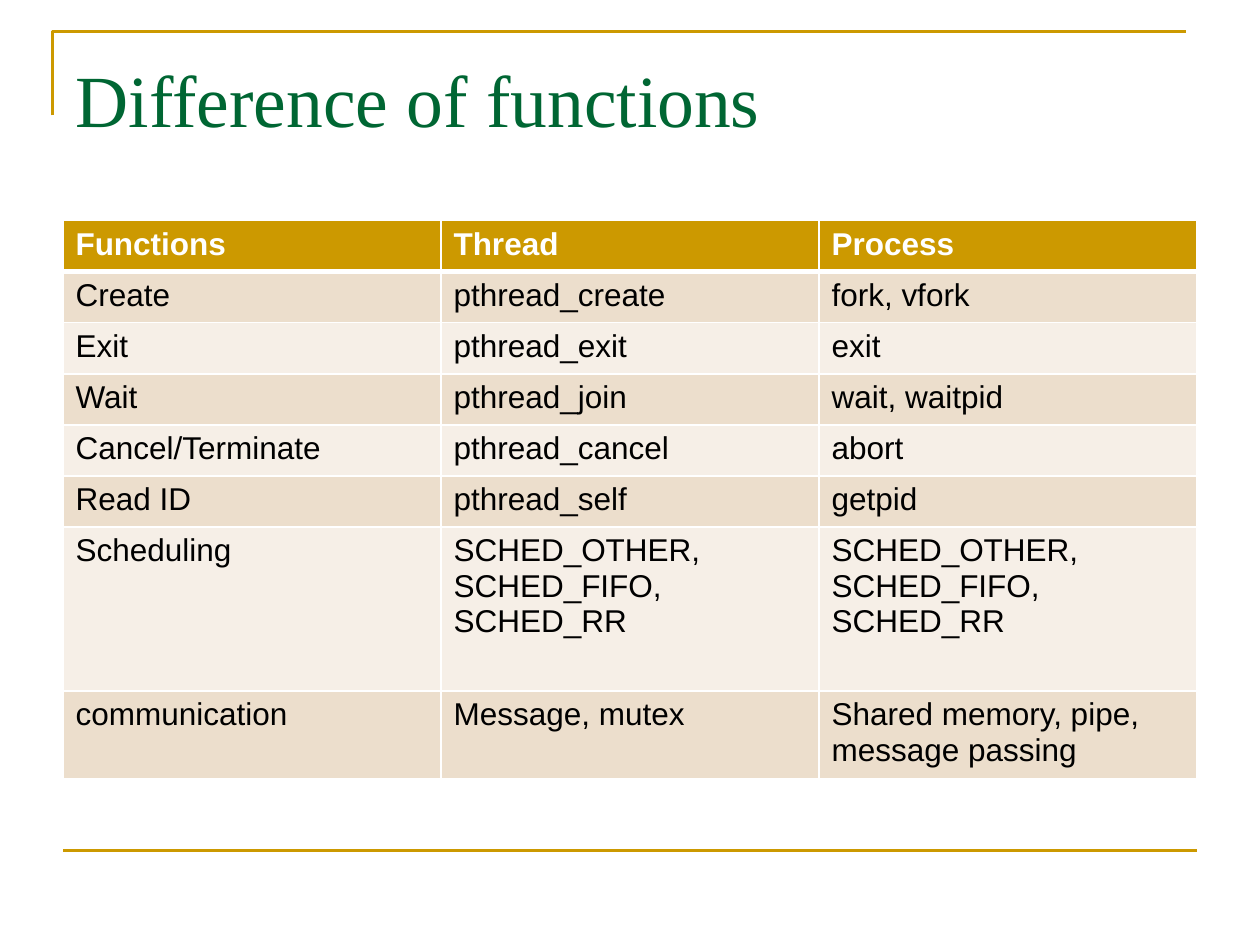
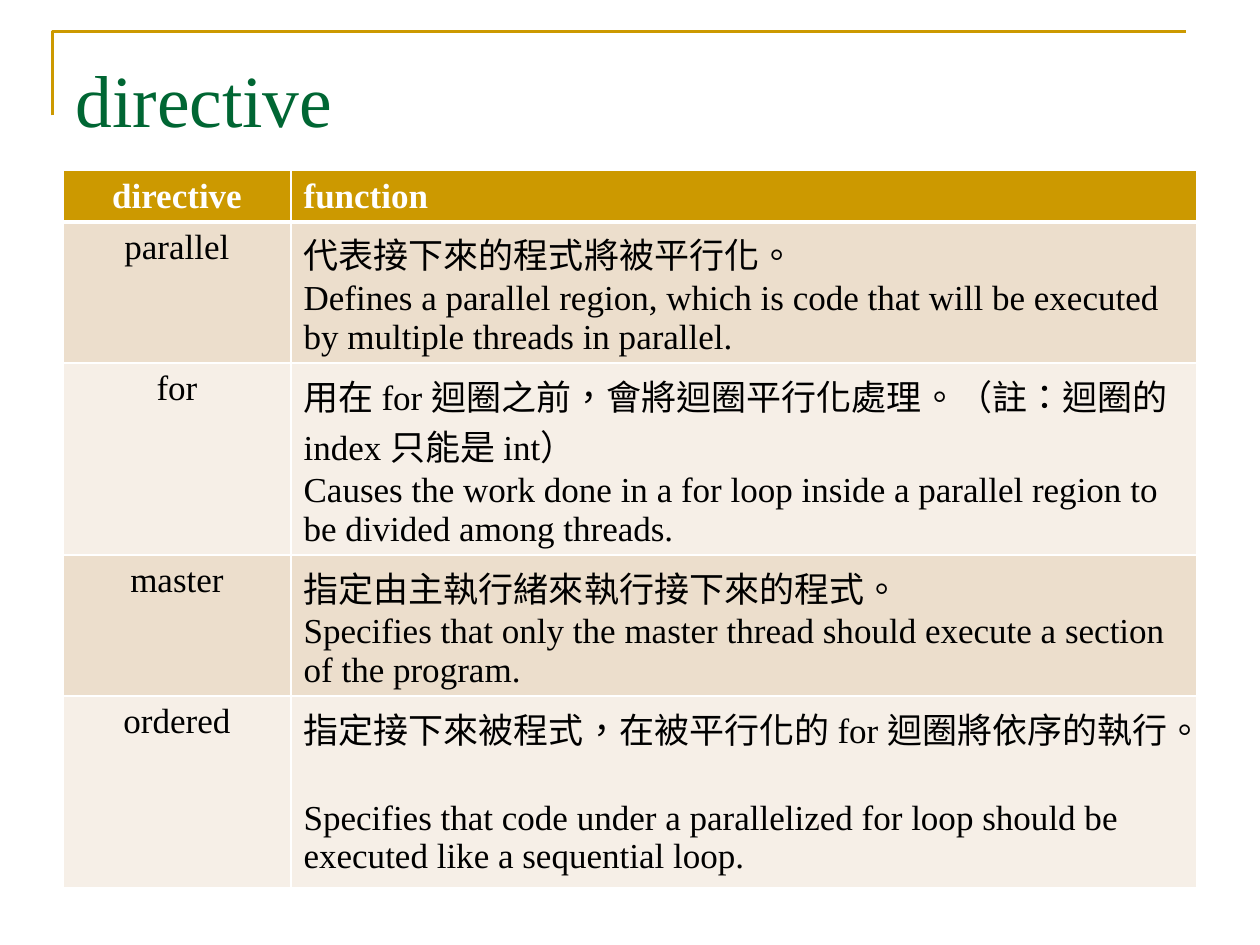
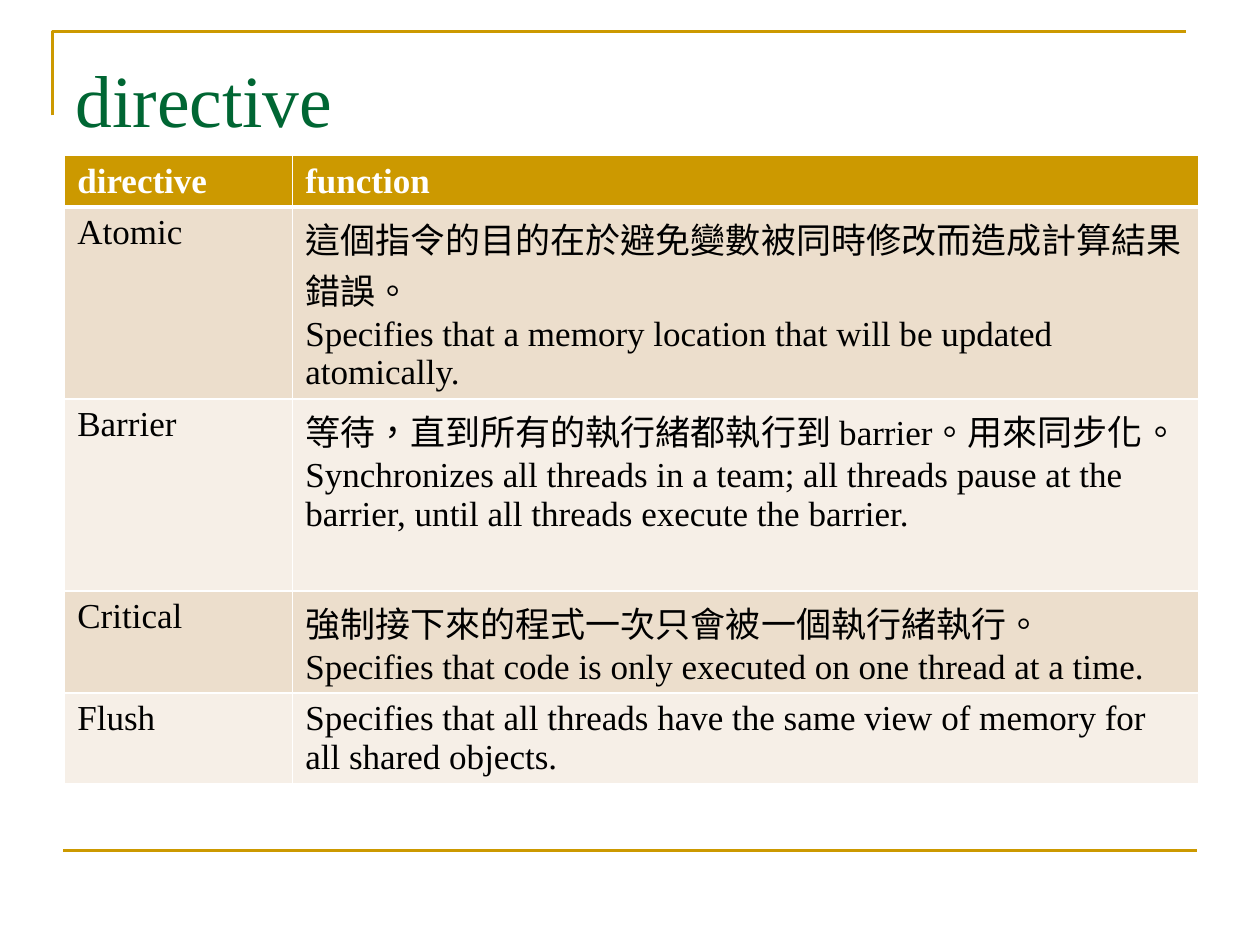
"""Builds three slides with tables of thread functions and parallel directives."""
from lxml.etree import SubElement
from pptx import Presentation
from pptx.dml.color import RGBColor
from pptx.enum.lang import MSO_LANGUAGE_ID
from pptx.enum.shapes import MSO_CONNECTOR
from pptx.enum.text import MSO_ANCHOR, MSO_AUTO_SIZE, PP_ALIGN
from pptx.oxml.ns import qn
from pptx.util import Pt

GOLD = RGBColor(0xCC, 0x99, 0x00)
GREEN = RGBColor(0x00, 0x66, 0x33)
WHITE = RGBColor(0xFF, 0xFF, 0xFF)
BLACK = RGBColor(0x00, 0x00, 0x00)
SAND = RGBColor(0xEC, 0xDE, 0xCC)
CREAM = RGBColor(0xF6, 0xEF, 0xE7)
SERIF = "Times New Roman"
SANS = "Arial"

SCHED = "SCHED_OTHER, SCHED_FIFO,\rSCHED_RR"
PAGES = [
    dict(
        title="Difference of functions", left=36, top=126, font=SANS, size=18,
        align=PP_ALIGN.LEFT, cols=[216, 216, 216],
        tall=[29.2] * 6 + [93.6, 50],
        rows=[
            ("Functions", "Thread", "Process"),
            ("Create", "pthread_create", "fork, vfork"),
            ("Exit", "pthread_exit", "exit"),
            ("Wait", "pthread_join", "wait, waitpid"),
            ("Cancel/Terminate", "pthread_cancel", "abort"),
            ("Read ID", "pthread_self", "getpid"),
            ("Scheduling", SCHED, SCHED),
            ("communication", "Message, mutex",
             "Shared memory, pipe, message passing"),
        ],
    ),
    dict(
        title="directive", left=36, top=97.4, font=SERIF, size=20,
        align=PP_ALIGN.CENTER, cols=[130.3, 517.7],
        tall=[29.2, 80.5, 109.7, 80.5, 109.5],
        rows=[
            ("directive", "function"),
            ("parallel", "代表接下來的程式將被平行化。\n"
             "Defines a parallel region, which is code that will be "
             "executed by multiple threads in parallel."),
            ("for", "用在 for 迴圈之前，會將迴圈平行化處理。（註：迴圈的 index 只能是 int）\n"
             "Causes the work done in a for loop inside a parallel region "
             "to be divided among threads."),
            ("master", "指定由主執行緒來執行接下來的程式。\n"
             "Specifies that only the master thread should execute a "
             "section of the program."),
            ("ordered", "指定接下來被程式，在被平行化的 for 迴圈將依序的執行。\n"
             "Specifies that code under a parallelized for loop should be "
             "executed like a sequential loop."),
        ],
    ),
    dict(
        title="directive", left=37, top=88.8, font=SERIF, size=20,
        align=PP_ALIGN.LEFT, cols=[130.3, 517.7],
        tall=[29.2, 109.7, 109.7, 58.3, 51.2],
        rows=[
            ("directive", "function"),
            ("Atomic", "這個指令的目的在於避免變數被同時修改而造成計算結果錯誤。\n"
             "Specifies that a memory location that will be updated "
             "atomically."),
            ("Barrier", "等待，直到所有的執行緒都執行到 barrier。用來同步化。\n"
             "Synchronizes all threads in a team; all threads pause at the "
             "barrier, until all threads execute the barrier."),
            ("Critical", "強制接下來的程式一次只會被一個執行緒執行。\n"
             "Specifies that code is only executed on one thread at a time."),
            ("Flush", "Specifies that all threads have the same view of "
             "memory for all shared objects."),
        ],
    ),
]


def add_run(para, text, font, size, color, bold=False):
    run = para.add_run()
    run.text = text
    run.font.name = font
    run.font.size = Pt(size)
    run.font.color.rgb = color
    run.font.bold = bold
    if not text.isascii():
        run.font.language_id = MSO_LANGUAGE_ID.TRADITIONAL_CHINESE


def add_edge(cell, side, width):
    props = cell._tc.get_or_add_tcPr()
    edge = SubElement(props, qn("a:" + side), w=str(Pt(width)))
    fill = SubElement(edge, qn("a:solidFill"))
    SubElement(fill, qn("a:srgbClr"), val=str(WHITE))


deck = Presentation()
deck.slide_width, deck.slide_height = Pt(720), Pt(540)
layout = deck.slide_layouts[5]
slides = [deck.slides.add_slide(layout) for page in PAGES]

shapes = slides[0].shapes
pen = shapes.build_freeform(Pt(30), Pt(66))
pen.add_line_segments([(Pt(30), Pt(18)), (Pt(678), Pt(18))], close=False)
frame = pen.convert_to_shape()
frame.fill.background()
frame.shadow.inherit = False
rule = shapes.add_connector(
    MSO_CONNECTOR.STRAIGHT, Pt(36), Pt(486), Pt(684), Pt(486))
SubElement(rule.element.spPr, qn("a:effectLst"))
for part in (frame, rule):
    part.line.color.rgb = GOLD
    part.line.width = Pt(1.5)
    layout.shapes.element.append(part.element)

for slide, page in zip(slides, PAGES):
    title = slide.shapes.title
    title.left, title.top = Pt(36), Pt(21.6)
    title.width, title.height = Pt(648), Pt(90)
    box = title.text_frame
    box.word_wrap = True
    box.auto_size = MSO_AUTO_SIZE.NONE
    box.vertical_anchor = MSO_ANCHOR.TOP
    box.margin_top = Pt(9)
    head = box.paragraphs[0]
    head.alignment = PP_ALIGN.LEFT
    add_run(head, page["title"], SERIF, 42, GREEN)

    rows, cols, tall = page["rows"], page["cols"], page["tall"]
    table = slide.shapes.add_table(
        len(rows), len(cols), Pt(page["left"]), Pt(page["top"]),
        Pt(sum(cols)), Pt(sum(tall))).table
    for col, width in zip(table.columns, cols):
        col.width = Pt(width)
    for r, texts in enumerate(rows):
        table.rows[r].height = Pt(tall[r])
        for c, text in enumerate(texts):
            cell = table.cell(r, c)
            add_edge(cell, "lnL", 1)
            add_edge(cell, "lnR", 1)
            add_edge(cell, "lnT", 3 if r == 1 else 1)
            add_edge(cell, "lnB", 3 if r == 0 else 1)
            cell.fill.solid()
            cell.fill.fore_color.rgb = (
                GOLD if r == 0 else SAND if r % 2 else CREAM)
            body = cell.text_frame
            for p, block in enumerate(text.split("\r")):
                para = body.add_paragraph() if p else body.paragraphs[0]
                para.alignment = page["align"] if c == 0 else PP_ALIGN.LEFT
                for n, line in enumerate(block.split("\n")):
                    if n:
                        para.add_line_break()
                    add_run(para, line, page["font"], page["size"],
                            BLACK if r else WHITE, r == 0)

deck.save("out.pptx")
